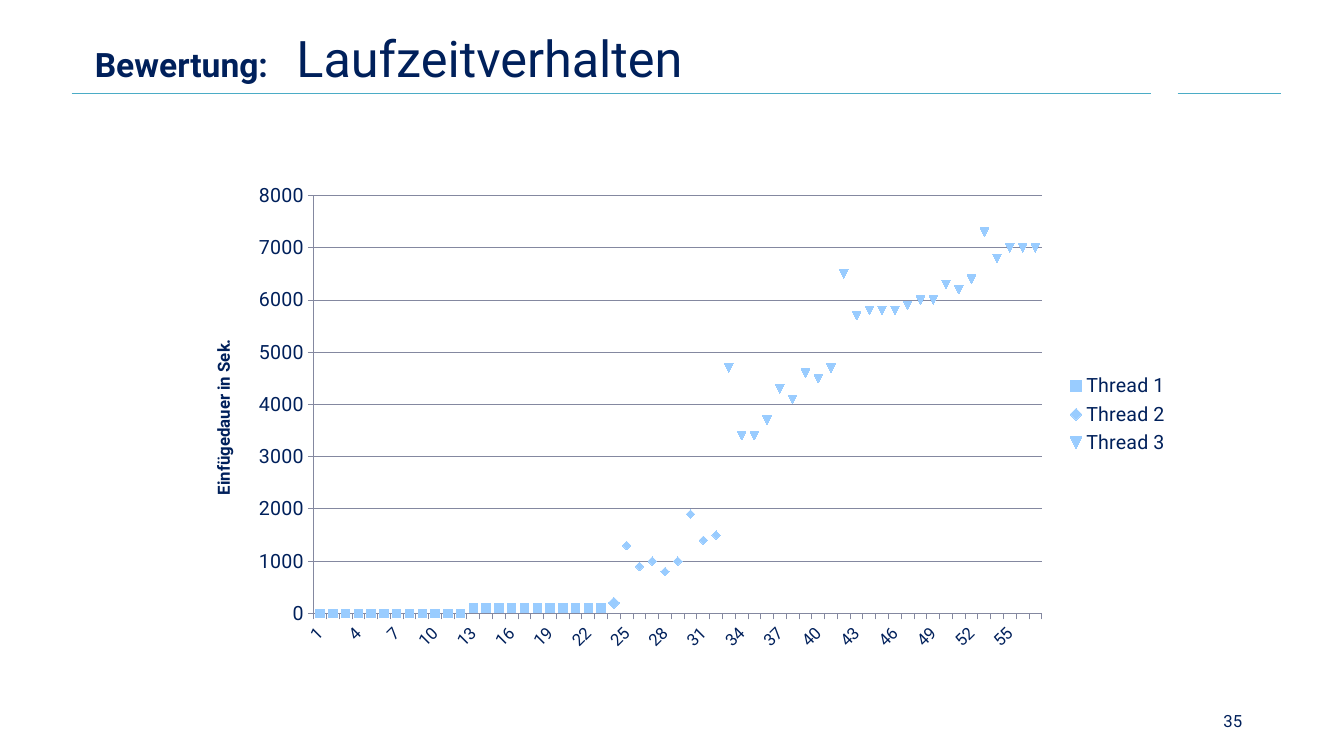
import pptx
import pptx.chart.data
import pptx.dml.color
import pptx.enum.chart
import pptx.enum.shapes
import pptx.enum.text
import pptx.oxml
import pptx.oxml.ns
import pptx.util

Inches = pptx.util.Inches
Pt = pptx.util.Pt

POINTS = 57
# Each thread: name, first category, durations in seconds, marker size
THREADS = [
    ("Thread 1", 1, [0] * 12 + [100] * 11 + [200], 6),
    ("Thread 2", 25, [1300, 900, 1000, 800, 1000, 1900, 1400, 1500], 6),
    ("Thread 3", 33, [4700, 3400, 3400, 3700, 4300, 4100, 4600, 4500, 4700,
                      6500, 5700, 5800, 5800, 5800, 5900, 6000, 6000, 6300,
                      6200, 6400, 7300, 6800, 7000, 7000, 7000], 6),
]


def rgb(value):
    return pptx.dml.color.RGBColor.from_string(value)


def set_plot_area(chart, x, y, w, h):
    """Fix the inner plot area, given as fractions of the chart."""
    plot_area = chart._chartSpace.chart.plotArea
    for old in plot_area.findall(pptx.oxml.ns.qn("c:layout")):
        plot_area.remove(old)
    sizes = "".join(f'<c:{tag} val="{val}"/>' for tag, val in
                    (("x", x), ("y", y), ("w", w), ("h", h)))
    plot_area.insert(0, pptx.oxml.parse_xml(
        f'<c:layout {pptx.oxml.ns.nsdecls("c")}><c:manualLayout>'
        '<c:layoutTarget val="inner"/><c:xMode val="edge"/>'
        f'<c:yMode val="edge"/>{sizes}</c:manualLayout></c:layout>'))


class SlideBuilder:
    font, ink, rule, marker, grid = (
        "Roboto", "00205B", "4BACC6", "99CCFF", "8488A0")

    def __init__(self, prs):
        self.s = prs.slides.add_slide(prs.slide_layouts[5])

    def style(self, font, size, bold=False):
        font.name = self.font
        font.size = Pt(size)
        font.bold = bold
        font.color.rgb = rgb(self.ink)

    def title(self, topic, heading):
        sp = self.s.shapes.title
        sp.left, sp.top = Inches(0.84), Inches(0.21)
        sp.width, sp.height = Inches(11.58), Inches(0.72)
        tf = sp.text_frame
        tf.word_wrap = True
        tf.auto_size = pptx.enum.text.MSO_AUTO_SIZE.NONE
        tf.vertical_anchor = pptx.enum.text.MSO_ANCHOR.BOTTOM
        p = tf.paragraphs[0]
        p.text = topic + "\t"
        p.alignment = pptx.enum.text.PP_ALIGN.LEFT
        p.line_spacing = 0.9
        self.style(p.runs[0].font, 24, True)
        r = p.add_run()
        r.text = heading
        self.style(r.font, 36)

    def line(self, x1, x2, y):
        cn = self.s.shapes.add_connector(
            pptx.enum.shapes.MSO_CONNECTOR.STRAIGHT,
            Inches(x1), Inches(y), Inches(x2), Inches(y))
        cn.line.color.rgb = rgb(self.rule)
        cn.line.width = Pt(1)
        cn._element.spPr.append(pptx.oxml.parse_xml(
            f'<a:effectLst {pptx.oxml.ns.nsdecls("a")}/>'))

    def page_number(self, text):
        sp = self.s.shapes.add_textbox(
            Inches(9.42), Inches(6.95), Inches(3), Inches(0.4))
        tf = sp.text_frame
        tf.word_wrap = True
        tf.vertical_anchor = pptx.enum.text.MSO_ANCHOR.MIDDLE
        p = tf.paragraphs[0]
        p.text = text
        p.alignment = pptx.enum.text.PP_ALIGN.RIGHT
        self.style(p.runs[0].font, 12)

    def fill_marker(self, marker, size):
        marker.size = size
        marker.format.fill.solid()
        marker.format.fill.fore_color.rgb = rgb(self.marker)
        marker.format.line.fill.background()

    def axis(self, axis, size):
        self.style(axis.tick_labels.font, size)
        axis.major_tick_mark = pptx.enum.chart.XL_TICK_MARK.OUTSIDE
        axis.minor_tick_mark = pptx.enum.chart.XL_TICK_MARK.NONE
        axis.format.line.color.rgb = rgb(self.grid)
        axis.format.line.width = Pt(0.75)

    def chart(self, threads, axis_title):
        data = pptx.chart.data.CategoryChartData()
        data.categories = [str(i + 1) for i in range(POINTS)]
        for name, first, values, _ in threads:
            before = [None] * (first - 1)
            after = [None] * (POINTS - len(before) - len(values))
            data.add_series(name, before + values + after)
        chart = self.s.shapes.add_chart(
            pptx.enum.chart.XL_CHART_TYPE.LINE_MARKERS, Inches(1.94),
            Inches(1.7), Inches(9.76), Inches(4.82), data).chart
        chart.has_title = False
        self.style(chart.font, 18)
        set_plot_area(chart, 0.12, 0.05, 0.74, 0.86)

        plot = chart.plots[0]
        plot.vary_by_categories = False
        for series, thread in zip(plot.series, threads):
            series.smooth = False
            series.format.line.fill.background()
            self.fill_marker(series.marker, thread[3])
        last = plot.series[0].points[23].marker
        last.style = pptx.enum.chart.XL_MARKER_STYLE.DIAMOND
        self.fill_marker(last, 8)

        cat = chart.category_axis
        self.axis(cat, 12)
        cat._element.txPr.bodyPr.set("rot", "-2700000")
        skip = pptx.oxml.parse_xml(
            f'<c:tickLblSkip {pptx.oxml.ns.nsdecls("c")} val="3"/>')
        cat._element.find(pptx.oxml.ns.qn("c:noMultiLvlLbl")).addprevious(skip)

        val = chart.value_axis
        self.axis(val, 14)
        val.minimum_scale, val.maximum_scale, val.major_unit = 0, 8000, 1000
        val.tick_labels.number_format = "General"
        val.tick_labels.number_format_is_linked = False
        val.has_major_gridlines = True
        val.major_gridlines.format.line.color.rgb = rgb(self.grid)
        val.major_gridlines.format.line.width = Pt(0.75)
        tf = val.axis_title.text_frame
        tf.text = axis_title
        tf._txBody.bodyPr.set("rot", "-5400000")
        self.style(tf.paragraphs[0].runs[0].font, 12, True)

        chart.has_legend = True
        chart.legend.position = pptx.enum.chart.XL_LEGEND_POSITION.RIGHT
        chart.legend.include_in_layout = False
        self.style(chart.legend.font, 14)


def main():
    prs = pptx.Presentation()
    prs.slide_width, prs.slide_height = Inches(13.33), Inches(7.5)
    slide = SlideBuilder(prs)
    for x1, x2 in ((0.71, 11.42), (11.68, 12.71)):
        slide.line(x1, x2, 0.93)
    slide.title("Bewertung:", "Laufzeitverhalten")
    slide.page_number("35")
    slide.chart(THREADS, "Einfügedauer in Sek.")
    prs.save("out.pptx")


if __name__ == "__main__":
    main()
